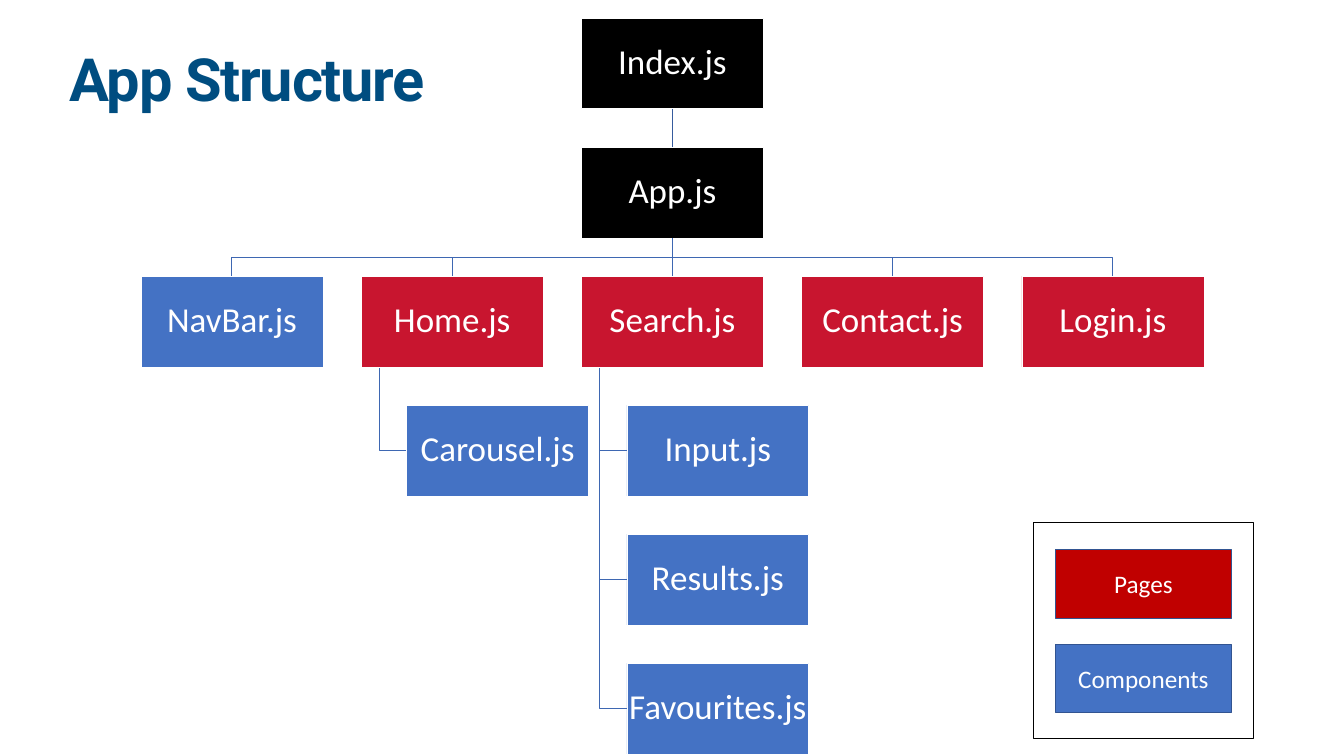
from dataclasses import dataclass

from lxml.etree import SubElement
from pptx import Presentation
from pptx.dml.color import RGBColor
from pptx.enum.shapes import MSO_CONNECTOR, MSO_SHAPE
from pptx.enum.text import MSO_ANCHOR, MSO_AUTO_SIZE, PP_ALIGN
from pptx.oxml.ns import qn
from pptx.shapes.autoshape import Shape
from pptx.slide import Slide
from pptx.text.text import _Paragraph as Para
from pptx.util import Emu, Pt

PX = 9144  # 100 px to the inch


@dataclass(frozen=True)
class Theme:
    black: str = "000000"
    white: str = "FFFFFF"
    blue: str = "4472C4"
    red: str = "C8152F"
    key_red: str = "C00000"
    key_line: str = "325491"
    link: str = "3E67B2"
    root_link: str = "365B9D"
    title: str = "004D80"
    body_font: str = "Calibri"
    title_font: str = "Roboto"
    title_size: int = 85
    node_size: int = 50
    key_size: int = 36


@dataclass(frozen=True)
class Rect:
    x: int
    y: int
    w: int
    h: int

    @property
    def mid_x(self) -> int:
        return self.x + self.w // 2

    @property
    def mid_y(self) -> int:
        return self.y + self.h // 2

    @property
    def end_y(self) -> int:
        return self.y + self.h


@dataclass(frozen=True)
class Node:
    name: str
    col: int
    row: int
    fill: str
    top: str = ""  # name of the parent
    leaf: bool = False  # hangs from the side of its parent

    @property
    def rect(self) -> Rect:
        x = LEFT + self.col * COL + (INDENT if self.leaf else 0)
        return Rect(x, TOP + self.row * ROW, WIDTH, HEIGHT)


# Grid of the tree
LEFT, TOP = 280, 36
COL, ROW = 437, 256
WIDTH, HEIGHT = 361, 180
INDENT, STEM = 90, 36

T = Theme()
NODES = [
    Node("Index.js", 2, 0, T.black),
    Node("App.js", 2, 1, T.black, "Index.js"),
    Node("NavBar.js", 0, 2, T.blue, "App.js"),
    Node("Home.js", 1, 2, T.red, "App.js"),
    Node("Search.js", 2, 2, T.red, "App.js"),
    Node("Contact.js", 3, 2, T.red, "App.js"),
    Node("Login.js", 4, 2, T.red, "App.js"),
    Node("Carousel.js", 1, 3, T.blue, "Home.js", True),
    Node("Input.js", 2, 3, T.blue, "Search.js", True),
    Node("Results.js", 2, 4, T.blue, "Search.js", True),
    Node("Favourites.js", 2, 5, T.blue, "Search.js", True),
]


def rgb(code: str) -> RGBColor:
    return RGBColor.from_string(code)


def style(para: Para, face: str, size: int, color: str) -> None:
    para.font.name = face
    para.font.size = Pt(size)
    para.font.color.rgb = rgb(color)


def add_box(slide: Slide, rect: Rect, fill: str, line: str,
            text: str = "", size: int = 0) -> Shape:
    box = slide.shapes.add_shape(
        MSO_SHAPE.RECTANGLE, rect.x * PX, rect.y * PX, rect.w * PX, rect.h * PX)
    box.shadow.inherit = False
    box.fill.solid()
    box.fill.fore_color.rgb = rgb(fill)
    box.line.color.rgb = rgb(line)
    box.line.width = Pt(1)
    if text:
        frame = box.text_frame
        frame.text = text
        frame.word_wrap = False
        frame.vertical_anchor = MSO_ANCHOR.MIDDLE
        para = frame.paragraphs[0]
        para.alignment = PP_ALIGN.CENTER
        style(para, T.body_font, size, T.white)
    return box


def add_node(slide: Slide, node: Node) -> Shape:
    box = add_box(slide, node.rect, node.fill, T.white, node.name, T.node_size)
    frame = box.text_frame
    frame.margin_left = frame.margin_right = Emu(3 * PX)
    frame.margin_top = frame.margin_bottom = Emu(3 * PX)
    frame.paragraphs[0].line_spacing = 0.9
    return box


def add_bend(slide: Slide, top: Rect, node: Node) -> None:
    end = node.rect
    if node.leaf:
        stem = top.x + STEM
        points = [(stem, top.end_y), (stem, end.mid_y), (end.x, end.mid_y)]
    else:
        bar = (top.end_y + end.y) // 2
        points = [(top.mid_x, top.end_y), (top.mid_x, bar),
                  (end.mid_x, bar), (end.mid_x, end.y)]
    pen = slide.shapes.build_freeform(*points[0], scale=PX)
    pen.add_line_segments(points[1:], close=False)
    bend = pen.convert_to_shape()
    bend.shadow.inherit = False
    bend.fill.background()
    bend.line.color.rgb = rgb(T.link)
    bend.line.width = Pt(1)


def add_link(slide: Slide, top: Shape, end: Shape, color: str) -> None:
    link = slide.shapes.add_connector(MSO_CONNECTOR.STRAIGHT, 0, 0, 0, 0)
    link.begin_connect(top, 2)
    link.end_connect(end, 0)
    link.line.color.rgb = rgb(color)
    link.line.width = Pt(1)
    SubElement(link._element.spPr, qn("a:effectLst"))


def add_title(slide: Slide, text: str) -> None:
    title = slide.shapes.title
    title.left, title.top = Emu(132 * PX), Emu(104 * PX)
    title.width, title.height = Emu(2403 * PX), Emu(157 * PX)
    frame = title.text_frame
    frame.text = text
    frame.auto_size = MSO_AUTO_SIZE.NONE
    frame.vertical_anchor = MSO_ANCHOR.TOP
    frame.margin_left = frame.margin_right = Emu(6 * PX)
    frame.margin_top = frame.margin_bottom = Emu(6 * PX)
    para = frame.paragraphs[0]
    para.alignment = PP_ALIGN.LEFT
    para.line_spacing = 0.8
    style(para, T.title_font, T.title_size, T.title)
    para.font.bold = True
    para.font._rPr.set("spc", "-170")


def main() -> None:
    deck = Presentation()
    deck.slide_width, deck.slide_height = Emu(2667 * PX), Emu(1500 * PX)
    slide = deck.slides.add_slide(deck.slide_layouts[5])
    add_title(slide, "App Structure")

    # Tree: bent links lie behind the boxes, straight ones join them
    tree = {node.name: node for node in NODES}
    kids = [node for node in NODES if node.top]
    drop = [kid for kid in kids
            if not kid.leaf and kid.col == tree[kid.top].col]
    for kid in kids:
        if kid not in drop:
            add_bend(slide, tree[kid.top].rect, kid)
    boxes = {node.name: add_node(slide, node) for node in NODES}
    for kid in drop:
        color = T.link if tree[kid.top].top else T.root_link
        add_link(slide, boxes[kid.top], boxes[kid.name], color)

    # Legend
    add_box(slide, Rect(2050, 1036, 438, 429), T.white, T.black)
    keys = [("Pages", T.key_red), ("Components", T.blue)]
    for i, (text, fill) in enumerate(keys):
        rect = Rect(2095, 1090 + 188 * i, 348, 136)
        add_box(slide, rect, fill, T.key_line, text, T.key_size)

    deck.save("out.pptx")


if __name__ == "__main__":
    main()
